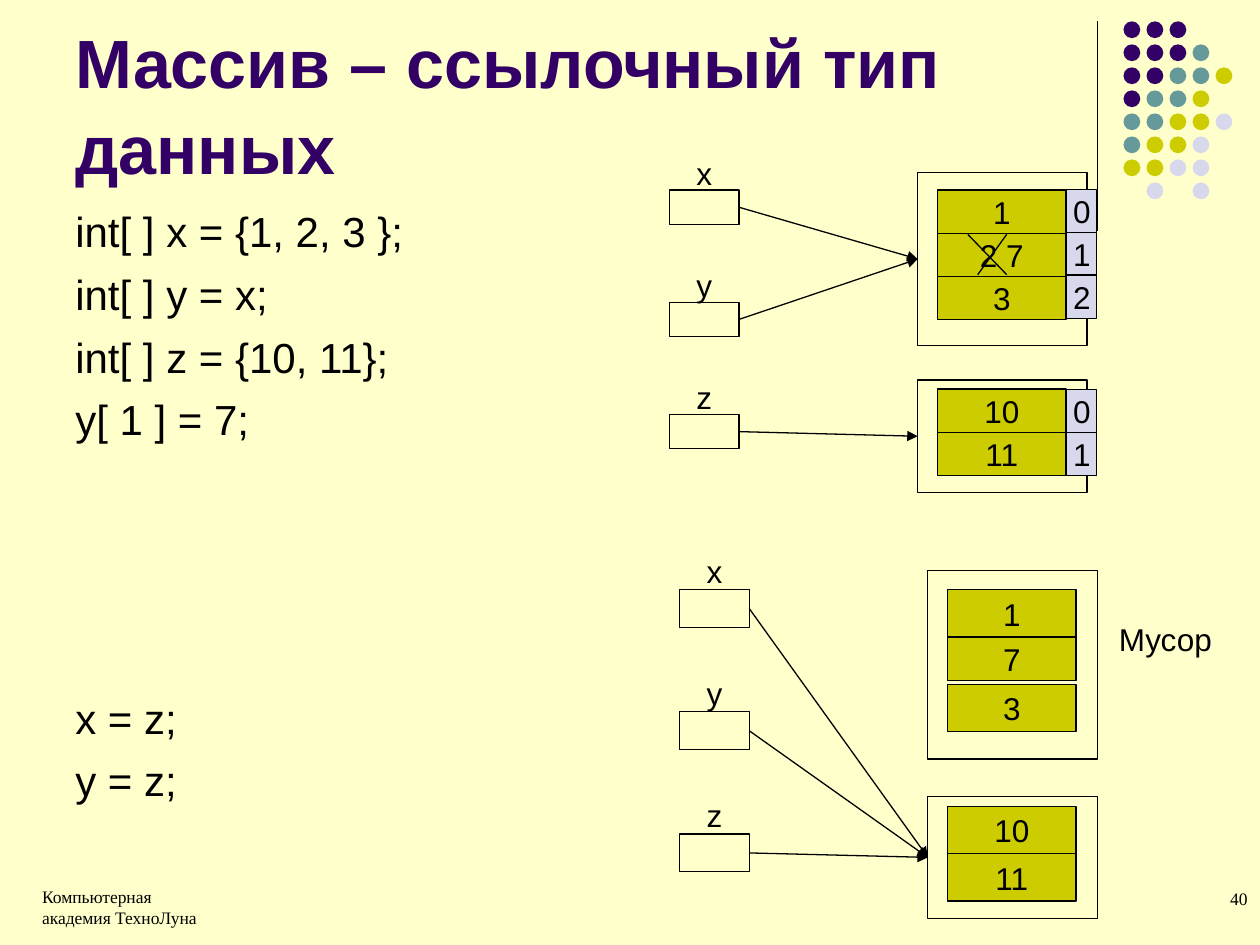
from lxml.etree import SubElement
from pptx import Presentation
from pptx.dml.color import RGBColor
from pptx.enum.shapes import MSO_CONNECTOR, MSO_SHAPE
from pptx.enum.text import MSO_ANCHOR, PP_ALIGN
from pptx.oxml.ns import qn
from pptx.util import Pt

HUES = {
    "back": "FFFFCC", "ink": "000000", "plum": "330066",
    "teal": "669999", "lime": "CCCC00", "mist": "D8D8EC",
}
TINT = {name: RGBColor.from_string(code) for name, code in HUES.items()}

deck = Presentation()
deck.slide_width, deck.slide_height = Pt(720), Pt(540)
slide = deck.slides.add_slide(deck.slide_layouts[6])
slide.background.fill.solid()
slide.background.fill.fore_color.rgb = TINT["back"]


def put(text, left, top, wide, high, form=None, fill=None, edge=True, size=18,
        bold=False, hue="ink", face="Arial", align=PP_ALIGN.CENTER,
        anchor=MSO_ANCHOR.MIDDLE, wrap=False, gap=0, lead=None):
    area = Pt(left), Pt(top), Pt(wide), Pt(high)
    if form is None:
        item = slide.shapes.add_textbox(*area)
    else:
        item = slide.shapes.add_shape(form, *area)
        item.shadow.inherit = False
        if fill:
            item.fill.solid()
            item.fill.fore_color.rgb = TINT[fill]
        else:
            item.fill.background()
        if edge:
            item.line.color.rgb = TINT["ink"]
            item.line.width = Pt(0.75)
        else:
            item.line.fill.background()
    frame = item.text_frame
    frame.word_wrap = wrap
    frame.vertical_anchor = anchor
    for rank, line in enumerate(text.split("\n") if text else []):
        para = frame.add_paragraph() if rank else frame.paragraphs[0]
        para.alignment = align
        para.space_before = Pt(gap if rank else 0)
        para.line_spacing = lead
        run = para.add_run()
        run.text = line
        run.font.name, run.font.size, run.font.bold = face, Pt(size), bold
        run.font.color.rgb = TINT[hue]
    return item


def link(ends=(0, 0, 0, 0), start=None, goal=None):
    wire = slide.shapes.add_connector(MSO_CONNECTOR.STRAIGHT, *map(Pt, ends))
    wire.line.color.rgb = TINT["ink"]
    wire.line.width = Pt(0.75)
    if start:
        wire.begin_connect(start, 3)
        wire.end_connect(goal, 1)
        SubElement(wire.line._get_or_add_ln(), qn("a:tailEnd"), type="triangle")
    SubElement(wire._element.spPr, qn("a:effectLst"))


link((627, 12.2, 627, 131.8))
dots = ["PPP", "PPPT", "PPTTL", "PTTL", "TTLLM", "TLLM", "LLMM", " M M"]
kinds = {"P": "plum", "T": "teal", "L": "lime", "M": "mist"}
for row, marks in enumerate(dots):
    for col, mark in enumerate(marks):
        if mark in kinds:
            put("", 642 + 13.15 * col, 12.2 + 13.15 * row, 9.6, 9.6,
                form=MSO_SHAPE.OVAL, fill=kinds[mark], edge=False)

prose = {"align": PP_ALIGN.LEFT, "anchor": MSO_ANCHOR.TOP, "wrap": True}
put("Массив – ссылочный тип данных", 36, 9.4, 594, 101.5, size=39, bold=True,
    hue="plum", align=PP_ALIGN.LEFT, anchor=MSO_ANCHOR.BOTTOM, wrap=True, lead=1.05)
put("int[ ] x = {1, 2, 3 };\nint[ ] y = x;\nint[ ] z = {10, 11};\ny[ 1 ] = 7;",
    36, 114, 324, 146, size=24, gap=7, **prose)
put("x = z;\ny = z;", 36, 392, 324, 78, size=24, gap=7, **prose)

cells = [
    (535.7, 108.6, 73.6, 24.7, "lime", ["1", "2 7", "3"]),
    (535.7, 222.3, 73.6, 24.7, "lime", ["10", "11"]),
    (541.4, 337, 73.6, 27, "lime", ["1", "7", "3"]),
    (541.4, 460.9, 73.6, 27, "lime", ["10", "11"]),
    (609.6, 108.2, 17.2, 24.5, "mist", ["0", "1", "2"]),
    (609.6, 222.4, 17.2, 24.8, "mist", ["0", "1"]),
]
for left, top, wide, step, fill, words in cells[:4]:
    for rank, word in enumerate(words):
        high = 24.7 if word == "7" else step
        put(word, left, top + step * rank, wide, high,
            form=MSO_SHAPE.RECTANGLE, fill=fill)

scenes = [
    (382.5, 108.6, 64.1, 19.7, 524.4, [(98.6, 98.9), (217.2, 64.2)], [0, 0, 1]),
    (388.4, 337, 69.8, 21.6, 530.2, [(326.2, 107.5), (455, 69.9)], [1, 1, 1]),
]
for left, top, step, high, side, spans, goals in scenes:
    heaps = [put("", side, start, 96.8, tall, form=MSO_SHAPE.RECTANGLE)
             for start, tall in spans]
    for rank, name in enumerate("xyz"):
        level = top + step * rank
        box = put("", left, level, 39.8, high, form=MSO_SHAPE.RECTANGLE)
        put(name, left, level - high, 39.8, high)
        link(start=box, goal=heaps[goals[rank]])

put("Мусор", 632.2, 350.5, 87.8, 28.8, **prose)
link((575.3, 133.9, 558.7, 157))
link((553, 133.9, 575.3, 157))
for left, top, wide, step, fill, words in cells[4:]:
    for rank, word in enumerate(words):
        put(word, left, top + step * rank, wide, 24.7,
            form=MSO_SHAPE.RECTANGLE, fill=fill)

small = {"size": 10, "face": "Times New Roman", "anchor": MSO_ANCHOR.TOP, "wrap": True}
put("Компьютерная академия ТехноЛуна", 17, 502.6, 110.4, 37.4,
    align=PP_ALIGN.LEFT, **small)
put("40", 552.2, 504, 167.8, 36, align=PP_ALIGN.RIGHT, **small)

deck.save("out.pptx")
